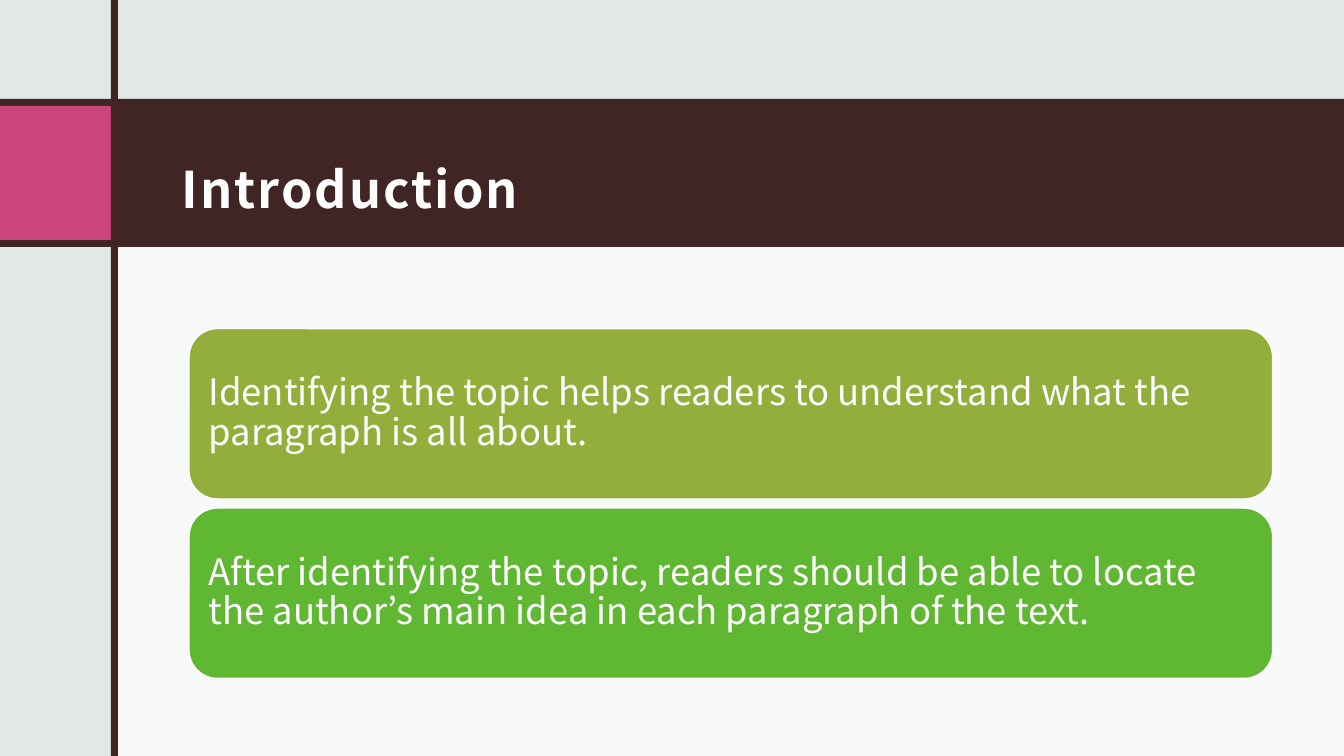
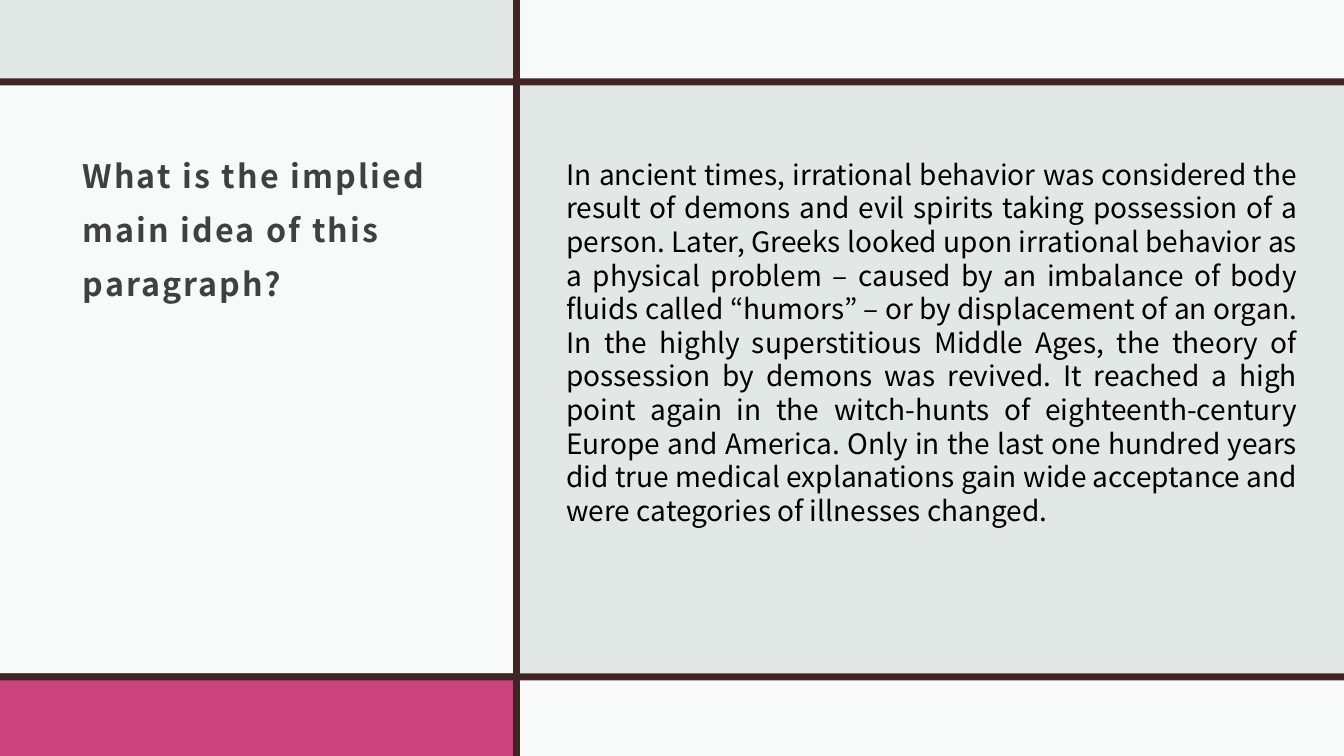
import pptx
import pptx.dml.color
import pptx.enum.shapes
import pptx.enum.text
import pptx.oxml.ns
import pptx.util

Pt = pptx.util.Pt
Shape = pptx.enum.shapes.MSO_SHAPE
Align = pptx.enum.text.PP_ALIGN
Anchor = pptx.enum.text.MSO_ANCHOR
AutoSize = pptx.enum.text.MSO_AUTO_SIZE

WIDTH, HEIGHT = 960, 540
RULE = 5
FONT = "Noto Sans CJK JP"
MIST, PALE, BROWN, PINK = "E2E8E5", "F8F9F9", "412524", "CB447E"
WHITE, GREY, BLACK = "FFFFFF", "404040", "000000"
OLIVE, GREEN = "93AE3B", "60B732"

CARDS = [
    (OLIVE, "Identifying the topic helps readers to understand what the paragraph is all about."),
    (GREEN, "After identifying the topic, readers should be able to locate the author’s main idea "
            "in each paragraph of the text."),
]
PASSAGE = (
    "In ancient times, irrational behavior was considered the result of demons and evil spirits "
    "taking possession of a person. Later, Greeks looked upon irrational behavior as a physical "
    "problem – caused by an imbalance of body fluids called “humors” – or by displacement of an "
    "organ. In the highly superstitious Middle Ages, the theory of possession by demons was "
    "revived. It reached a high point again in the witch-hunts of eighteenth-century Europe and "
    "America. Only in the last one hundred years did true medical explanations gain wide "
    "acceptance and were categories of illnesses changed."
)


def paint(color_format, color):
    color_format.solid()
    color_format.fore_color.rgb = pptx.dml.color.RGBColor.from_string(color)


def write(box, text, size, color, bold=False, align=Align.LEFT, anchor=Anchor.MIDDLE,
          line_spacing=1.0, tracking=0, margins=(7.2, 3.6, 7.2, 3.6), auto_size=AutoSize.NONE):
    frame = box.text_frame
    frame.word_wrap = True
    frame.auto_size = auto_size
    frame.vertical_anchor = anchor
    (frame.margin_left, frame.margin_top,
     frame.margin_right, frame.margin_bottom) = [Pt(margin) for margin in margins]
    para = frame.paragraphs[0]
    para.alignment = align
    para.line_spacing = line_spacing
    span = para.add_run()
    span.text = text
    span.font.name = FONT
    span.font.size = Pt(size)
    span.font.bold = bold
    paint(span.font.fill, color)
    if tracking:
        for properties in box.element.iter(pptx.oxml.ns.qn("a:rPr")):
            properties.set("spc", str(round(tracking * 100)))


def add_panel(page, left, top, width, height, color, shape=Shape.RECTANGLE, outline=None):
    panel = page.shapes.add_shape(shape, Pt(left), Pt(top), Pt(width), Pt(height))
    panel.shadow.inherit = False
    paint(panel.fill, color)
    if outline:
        paint(panel.line.fill, outline)
        panel.line.width = Pt(1)
    else:
        panel.line.fill.background()
    return panel


def add_column_rule(page, left):
    add_panel(page, left, 0, RULE, HEIGHT, BROWN)


def add_row_rule(page, top):
    add_panel(page, 0, top, WIDTH, RULE, BROWN)


def place_title(page, text, left, top, width, height, **style):
    title = page.shapes.title
    title.left, title.top, title.width, title.height = Pt(left), Pt(top), Pt(width), Pt(height)
    write(title, text, bold=True, tracking=1.5, margins=(8.64, 8.64, 8.64, 7.2), **style)
    title.element.getparent().append(title.element)


def add_page(deck):
    return deck.slides.add_slide(deck.slide_layouts.get_by_name("Title Only"))


def build_introduction(deck):
    page = add_page(deck)
    column, band_top, band_height = 79.2, 70.6, 105.8
    panel_top = band_top + band_height
    add_panel(page, column, panel_top, WIDTH - column, HEIGHT - panel_top, PALE)
    add_panel(page, 0, band_top, WIDTH, band_height, BROWN)
    add_panel(page, 0, band_top + RULE, column, band_height - 2 * RULE, PINK)
    add_column_rule(page, column)
    place_title(page, "Introduction", 121, 82, 788.4, 81.4,
                size=36, color=WHITE, line_spacing=1.5)
    card_height, gap = 121.7, 6.5
    for index, (color, text) in enumerate(CARDS):
        top = 234.7 + index * (card_height + gap)
        card = add_panel(page, 135, top, 774, card_height, color,
                         shape=Shape.ROUNDED_RECTANGLE, outline=WHITE)
        write(card, text, 26, WHITE, line_spacing=0.9, margins=(8, 8, 8, 8))


def build_question(deck):
    page = add_page(deck)
    column, upper, lower = 366.5, 56, 481
    add_panel(page, 0, upper, column, lower - upper, PALE)
    add_panel(page, column, 0, WIDTH - column, upper, PALE)
    add_panel(page, 0, lower, column, HEIGHT - lower, PINK)
    add_panel(page, column, lower, WIDTH - column, HEIGHT - lower, PALE)
    add_row_rule(page, lower)
    add_column_rule(page, column)
    add_row_rule(page, upper)
    place_title(page, "What is the implied main idea of this paragraph?", 50.4, 84.2, 284.4, 147,
                size=23, color=GREY, line_spacing=1.4)
    passage = page.shapes.add_textbox(Pt(397.5), Pt(108.7), Pt(536.4), Pt(298))
    write(passage, PASSAGE, 20, BLACK, align=Align.JUSTIFY, anchor=Anchor.TOP,
          auto_size=AutoSize.SHAPE_TO_FIT_TEXT)


def main():
    deck = pptx.Presentation()
    deck.slide_width, deck.slide_height = Pt(WIDTH), Pt(HEIGHT)
    paint(deck.slide_master.background.fill, MIST)
    build_introduction(deck)
    build_question(deck)
    deck.save("out.pptx")


if __name__ == "__main__":
    main()
